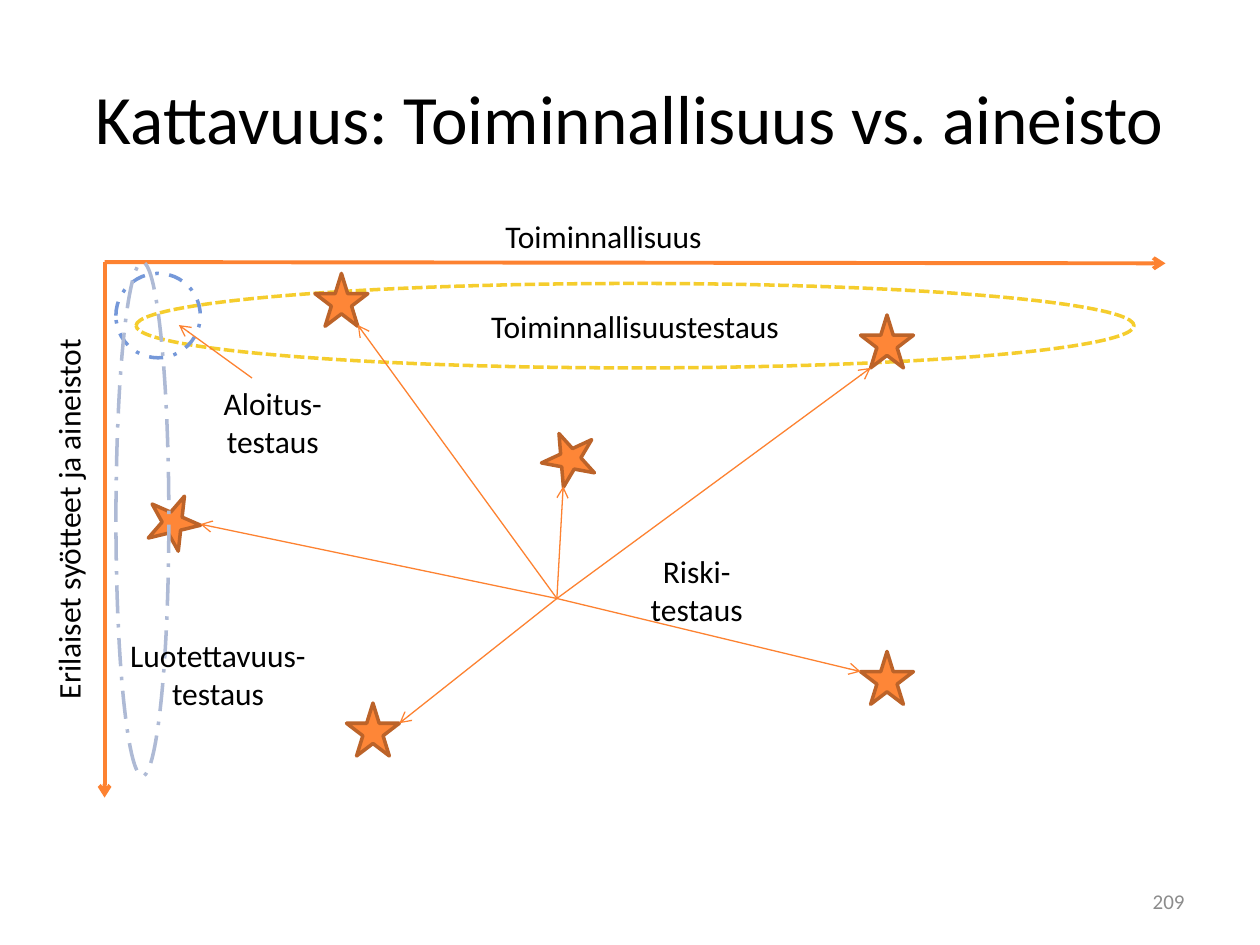
from dataclasses import dataclass

from lxml.etree import SubElement
from pptx import Presentation
from pptx.dml.color import RGBColor
from pptx.enum.dml import MSO_LINE
from pptx.enum.shapes import MSO_CONNECTOR, MSO_SHAPE
from pptx.enum.text import MSO_ANCHOR, PP_ALIGN
from pptx.oxml.ns import qn
from pptx.util import Inches, Pt


@dataclass(frozen=True)
class Theme:
    font: str = "Calibri"
    title_size: float = 39.6
    label_size: float = 18
    number_size: float = 12
    text: str = "000000"
    number: str = "8C8C8C"
    arrow: str = "FD8231"
    star_fill: str = "FE8637"
    star_edge: str = "BC6329"
    functional: str = "F5CD2D"
    smoke: str = "7598D9"
    reliability: str = "AEBAD5"
    axis_width: float = 2.25
    pointer_width: float = 0.75
    outline_width: float = 2


THEME = Theme()


def write_text(frame, text, size=THEME.label_size, color=THEME.text,
               align=PP_ALIGN.CENTER, anchor=MSO_ANCHOR.TOP, wrap=True):
    frame.word_wrap = wrap
    frame.vertical_anchor = anchor
    paragraph = frame.paragraphs[0]
    paragraph.alignment = align
    for index, line in enumerate(text.split("\n")):
        if index:
            paragraph.add_line_break()
        run = paragraph.add_run()
        run.text = line
        run.font.name = THEME.font
        run.font.size = Pt(size)
        run.font.color.rgb = RGBColor.from_string(color)


def add_label(slide, box, text, rotation=0, **style):
    label = slide.shapes.add_textbox(*map(Inches, box))
    label.rotation = rotation
    write_text(label.text_frame, text, **style)


def add_outlined(slide, kind, box, line_color):
    outlined = slide.shapes.add_shape(kind, *map(Inches, box))
    outlined.shadow.inherit = False
    outlined.line.color.rgb = RGBColor.from_string(line_color)
    outlined.line.width = Pt(THEME.outline_width)
    return outlined


def add_region(slide, box, color, dash):
    region = add_outlined(slide, MSO_SHAPE.OVAL, box, color)
    region.fill.background()
    region.line.dash_style = dash
    return region


def add_star(slide, left, top, rotation=0):
    star = add_outlined(slide, MSO_SHAPE.STAR_5_POINT,
                        (left, top, 0.42, 0.42), THEME.star_edge)
    star.fill.solid()
    star.fill.fore_color.rgb = RGBColor.from_string(THEME.star_fill)
    star.rotation = rotation


def add_arrow(slide, start, end, width=THEME.pointer_width):
    arrow = slide.shapes.add_connector(
        MSO_CONNECTOR.STRAIGHT, *map(Inches, (*start, *end)))
    arrow.line.color.rgb = RGBColor.from_string(THEME.arrow)
    arrow.line.width = Pt(width)
    SubElement(arrow.line._get_or_add_ln(), qn("a:tailEnd"), type="arrow")
    SubElement(arrow._element.spPr, qn("a:effectLst"))


def main():
    prs = Presentation()
    prs.slide_width, prs.slide_height = Inches(10), Inches(7.5)
    slide = prs.slides.add_slide(prs.slide_layouts[6])

    add_label(slide, (0.5, 0.3, 9, 1.25), "Kattavuus: Toiminnallisuus vs. aineisto",
              size=THEME.title_size, anchor=MSO_ANCHOR.MIDDLE)

    # Axes
    axis_origin = (0.83, 2.08)
    for axis_end in ((9.25, 2.09), (0.83, 6.33)):
        add_arrow(slide, axis_origin, axis_end, THEME.axis_width)
    add_label(slide, (3.08, 1.67, 3.42, 0.4), "Toiminnallisuus")
    add_label(slide, (-1.17, 3.92, 3.42, 0.4), "Erilaiset syötteet ja aineistot",
              rotation=270)

    # Functional and smoke testing
    functional = add_region(slide, (1.08, 2.25, 7.92, 0.67),
                            THEME.functional, MSO_LINE.SQUARE_DOT)
    write_text(functional.text_frame, "Toiminnallisuustestaus",
               anchor=MSO_ANCHOR.MIDDLE)
    add_region(slide, (0.92, 2.17, 0.67, 0.67), THEME.smoke, MSO_LINE.DASH_DOT)
    add_label(slide, (1.67, 3, 0.99, 0.71), "Aloitus-\ntestaus", wrap=False)
    add_arrow(slide, (2, 3), (1.42, 2.58))

    # Risk testing: stars and the arrows that reach them
    risk_targets = (
        ((4.33, 3.42, 47.9), (4.47, 3.86)),
        ((1.17, 3.92, 23.6), (1.59, 4.16)),
        ((2.75, 5.58), (3.17, 5.74)),
        ((6.83, 2.5), (6.91, 2.92)),
        ((2.5, 2.17), (2.84, 2.58)),
        ((6.83, 5.17), (6.83, 5.33)),
    )
    risk_center = (4.42, 4.75)
    for star, _ in risk_targets:
        add_star(slide, *star)
    for _, arrow_tip in risk_targets:
        add_arrow(slide, risk_center, arrow_tip)
    add_label(slide, (5.06, 4.33, 0.94, 0.71), "Riski-\ntestaus", wrap=False)

    # Reliability testing
    add_region(slide, (0.92, 2.08, 0.42, 4.08),
               THEME.reliability, MSO_LINE.LONG_DASH_DOT)
    add_label(slide, (0.92, 5, 1.62, 0.71), "Luotettavuus-\ntestaus", wrap=False)

    # Slide number
    add_label(slide, (7.17, 6.95, 2.33, 0.4), "209", size=THEME.number_size,
              color=THEME.number, align=PP_ALIGN.RIGHT, anchor=MSO_ANCHOR.MIDDLE)

    prs.save("out.pptx")


if __name__ == "__main__":
    main()
